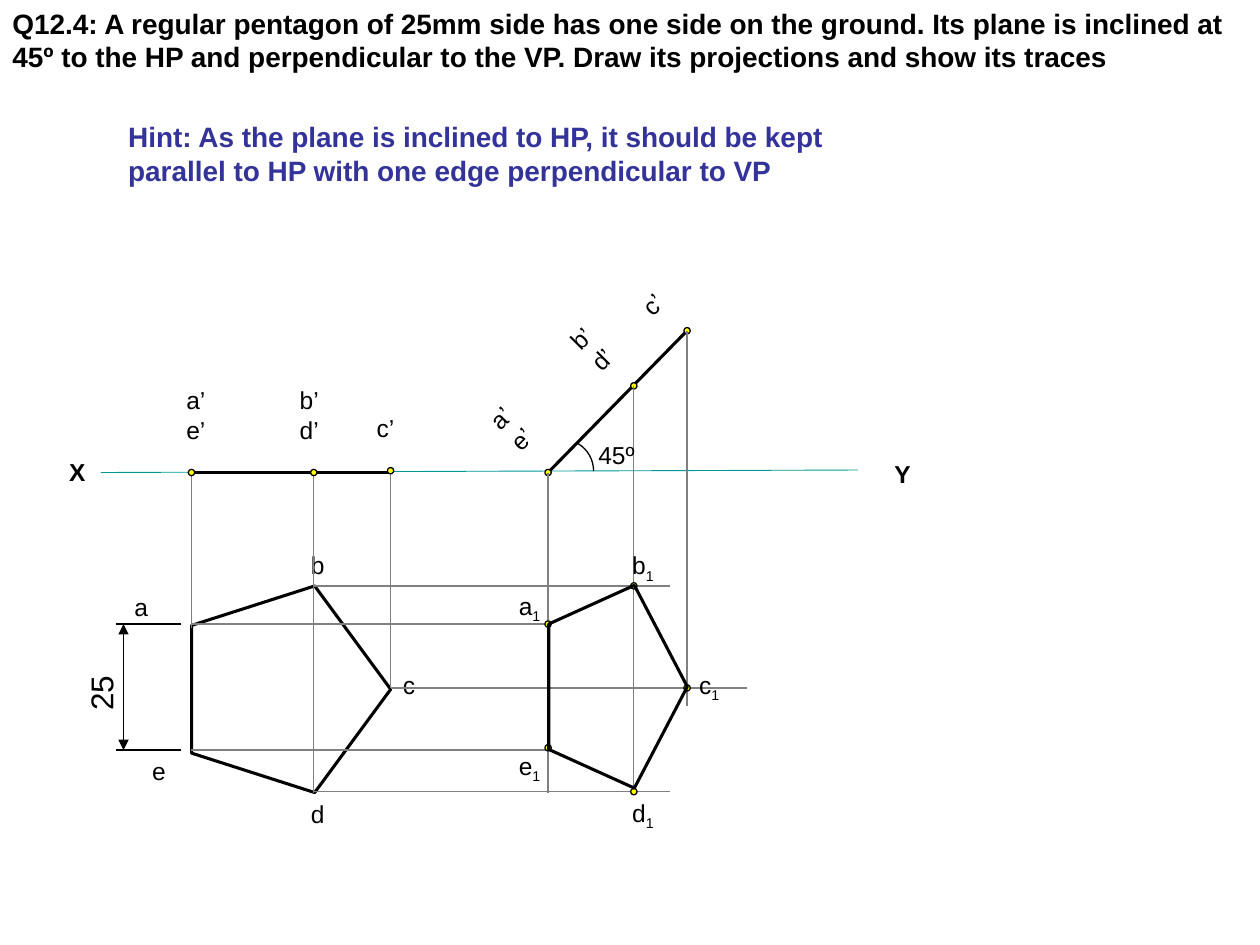
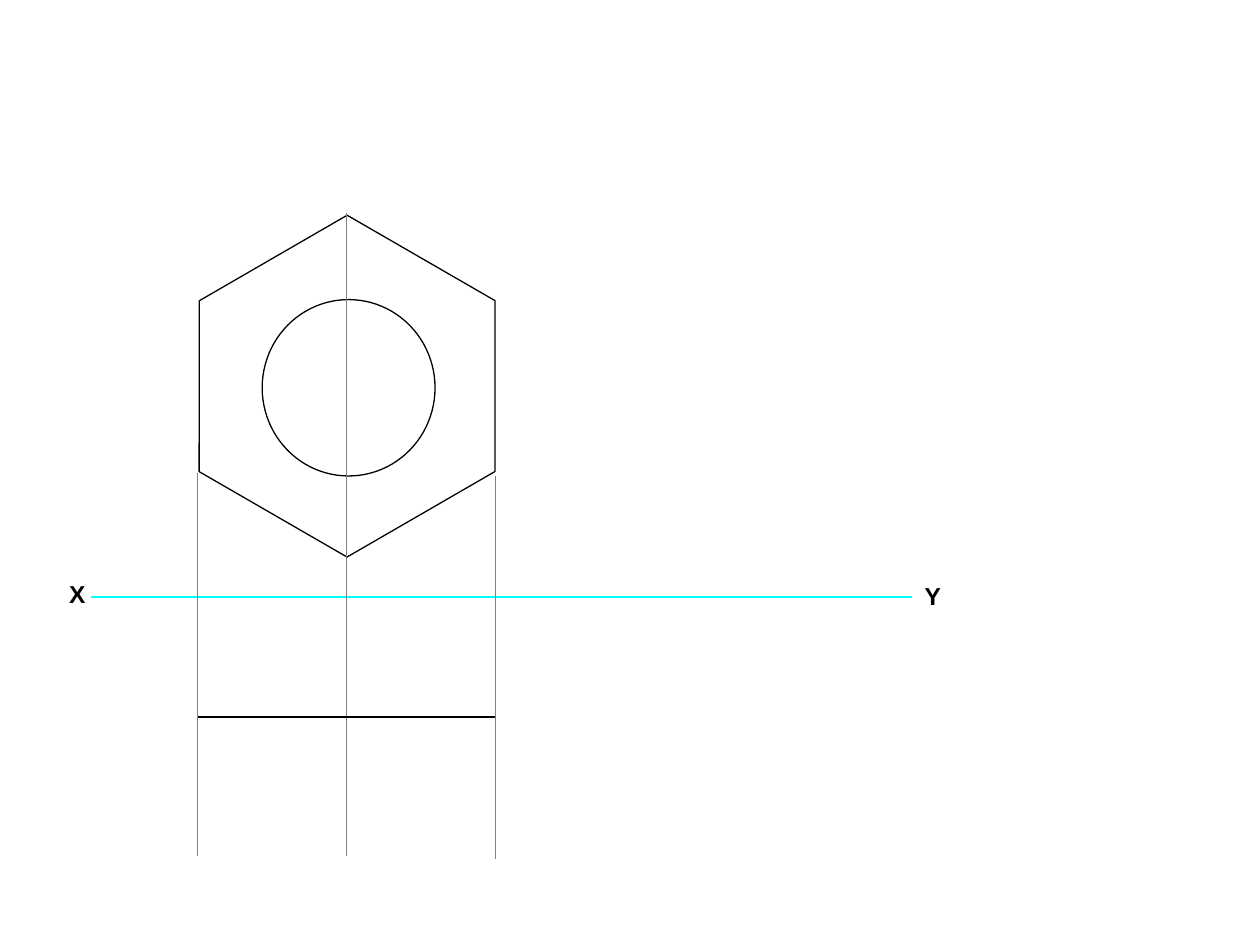
from dataclasses import dataclass

import lxml.etree
import pptx
import pptx.dml.color
import pptx.enum.shapes
import pptx.oxml.ns
import pptx.util

Pt = pptx.util.Pt
SHAPES = pptx.enum.shapes.MSO_SHAPE
COLORS = {
    "ink": "000000",
    "projector": "808080",
    "axis": "009999",
    "bright_axis": "00FFFF",
    "hint": "333399",
    "dot": "FFFF00",
}
FONT = "Arial"
THIN, AXIS_THICK, THICK = 0.75, 1, 1.75
DOT_SIZE = 3.6
LABEL_WIDTH, LABEL_HEIGHT, PAIR_HEIGHT = 30, 24.5, 41


@dataclass
class Label:
    text: str
    left: float
    top: float
    width: float = LABEL_WIDTH
    height: float = LABEL_HEIGHT
    size: float = 14
    bold: bool = False
    color: str = "ink"
    rotation: float = 0
    subscript: str = ""


@dataclass
class Line:
    x1: float
    y1: float
    x2: float
    y2: float
    color: str = "projector"
    weight: float = THIN
    arrows: bool = False


@dataclass
class Outline:
    kind: int
    left: float
    top: float
    width: float
    height: float
    rotation: float = 0
    weight: float = THIN
    fill: str = ""
    adjustments: tuple[float, ...] = ()


def rgb(name: str) -> pptx.dml.color.RGBColor:
    return pptx.dml.color.RGBColor.from_string(COLORS[name])


def draw_label(page, label: Label) -> None:
    box = page.shapes.add_textbox(
        Pt(label.left), Pt(label.top), Pt(label.width), Pt(label.height))
    box.rotation = label.rotation
    box.text_frame.word_wrap = True
    para = box.text_frame.paragraphs[0]
    para.font.name = FONT
    para.font.size = Pt(label.size)
    para.font.bold = label.bold
    para.font.color.rgb = rgb(label.color)
    para.add_run().text = label.text
    if label.subscript:
        span = para.add_run()
        span.text = label.subscript
        span._r.get_or_add_rPr().set("baseline", "-25000")


def draw_line(page, line: Line) -> None:
    connector = page.shapes.add_connector(
        pptx.enum.shapes.MSO_CONNECTOR.STRAIGHT,
        Pt(line.x1), Pt(line.y1), Pt(line.x2), Pt(line.y2))
    connector.line.color.rgb = rgb(line.color)
    connector.line.width = Pt(line.weight)
    if line.arrows:
        stroke = connector.line._get_or_add_ln()
        for end in ("a:headEnd", "a:tailEnd"):
            lxml.etree.SubElement(stroke, pptx.oxml.ns.qn(end), type="triangle")
    lxml.etree.SubElement(
        connector._element.spPr, pptx.oxml.ns.qn("a:effectLst"))


def draw_outline(page, outline: Outline) -> None:
    shape = page.shapes.add_shape(
        outline.kind, Pt(outline.left), Pt(outline.top),
        Pt(outline.width), Pt(outline.height))
    shape.shadow.inherit = False
    shape.rotation = outline.rotation
    for index, value in enumerate(outline.adjustments):
        shape.adjustments[index] = value
    if outline.fill:
        shape.fill.solid()
        shape.fill.fore_color.rgb = rgb(outline.fill)
    else:
        shape.fill.background()
    shape.line.color.rgb = rgb("ink")
    shape.line.width = Pt(outline.weight)


def draw_dots(page, centers: list[tuple[float, float]]) -> None:
    for x, y in centers:
        draw_outline(page, Outline(
            SHAPES.OVAL, x - DOT_SIZE / 2, y - DOT_SIZE / 2,
            DOT_SIZE, DOT_SIZE, fill="dot"))


def draw_axis(page, line: Line, x_top: float, y_left: float) -> None:
    """Draw the XY reference line and the letters at its ends."""
    draw_line(page, line)
    draw_label(page, Label("X", 32.4, x_top, width=33, bold=True))
    draw_label(page, Label("Y", y_left, x_top + 1, width=21.6, bold=True))


def build_pentagon_page(page) -> None:
    ground = 270
    # Columns of the flat and the tilted view, rows of the top view
    a_x, b_x, c_x = 109.4, 179.3, 223.2
    a1_x, b1_x, c1_x = 313.2, 362.2, 392.6
    b_y, a_y, c_y, e_y, d_y = 334.8, 356.6, 393.1, 428.6, 452.4
    tilted_b_y, tilted_c_y = 220.5, 189

    draw_axis(page, Line(57.6, ground, 490.3, 268.6, "axis", 0.5), 257.8, 504)

    # Question and hint
    draw_label(page, Label(
        "Q12.4: A regular pentagon of 25mm side has one side on the ground. "
        "Its plane is inclined at 45º to the HP and perpendicular to the VP. "
        "Draw its projections and show its traces",
        0, 0, 720, 46, 16, True))
    draw_label(page, Label(
        "Hint: As the plane is inclined to HP, it should be kept "
        "parallel to HP with one edge perpendicular to VP",
        66.2, 64.8, 424, 46, 16, True, "hint"))

    # Flat pentagon with its corner letters
    draw_outline(page, Outline(
        SHAPES.REGULAR_PENTAGON, 107.3, 337, 118.1, 113.8, 90, THICK))
    for letter, left, top in (
            ("a", 69.8, 334.8), ("b", 170.6, 311), ("c", 223.2, 379.4),
            ("d", 170.6, 452.9), ("e", 79.9, 428.4)):
        draw_label(page, Label(letter, left, top))

    # Side dimension
    for y in (a_y, e_y):
        draw_line(page, Line(103.7, y, 66.2, y, "ink"))
    draw_line(page, Line(70.6, a_y, 70.6, e_y, "ink", arrows=True))
    draw_label(page, Label("25", 36.7, 378, 41.8, 28.8, 18, rotation=270))

    # Flat front view
    for x, bottom in ((a_x, 358.6), (b_x, 452.9), (c_x, c_y)):
        draw_line(page, Line(x, ground, x, bottom))
    draw_line(page, Line(a_x, ground, c_x, ground, "ink", THICK))
    draw_label(page, Label("a’e’", 99.4, 216.7, height=PAIR_HEIGHT))
    draw_label(page, Label("b’d’", 164.2, 216.7, height=PAIR_HEIGHT))
    draw_label(page, Label("c’", 208.1, 232.6))
    draw_dots(page, [(a_x, ground), (b_x, ground), (c_x, 269)])

    # Tilted front view
    draw_line(page, Line(a1_x, ground, c1_x, tilted_c_y, "ink", THICK))
    for text, left, top, height in (
            ("a’e’", 278.6, 222.5, PAIR_HEIGHT),
            ("b’d’", 324.7, 177.1, PAIR_HEIGHT),
            ("c’", 360, 159.8, LABEL_HEIGHT)):
        draw_label(page, Label(text, left, top, height=height, rotation=315))
    draw_dots(page, [(a1_x, ground), (b1_x, tilted_b_y), (c1_x, tilted_c_y)])

    # Projectors down from the tilted view and across from the flat one
    for x, top, bottom in (
            (a1_x, ground, 452.9), (b1_x, tilted_b_y, 452.9),
            (c1_x, tilted_c_y, 403.2)):
        draw_line(page, Line(x, top, x, bottom))
    reach = a1_x - a_x
    for x, y in ((a_x, a_y), (a_x, e_y), (b_x, b_y), (b_x, d_y), (c_x, c_y)):
        draw_line(page, Line(x, y, x + reach, y))

    # Foreshortened pentagon
    draw_dots(page, [(a1_x, a_y), (b1_x, b_y), (c1_x, c_y),
                     (b1_x, d_y), (a1_x, 427.3)])
    draw_outline(page, Outline(
        SHAPES.REGULAR_PENTAGON, 295.2, 352.8, 115.9, 79.2, 90, THICK))
    for letter, left, top in (
            ("a", 289.4, 334.1), ("b", 354.2, 311), ("c", 392.4, 379.4),
            ("d", 354.2, 452.2), ("e", 289.4, 425.5)):
        draw_label(page, Label(letter, left, top, subscript="1"))

    # Angle of 45 degrees; arc angles are in units of 100000/60000 degrees
    draw_outline(page, Outline(
        SHAPES.ARC, 304.6, 251.3, 34.6, 36, adjustments=(296 * 0.6, 0)))
    draw_label(page, Label("45º", 334.8, 247.7, width=38.9))


def build_hexagon_page(page) -> None:
    left, middle, right = 113, 198, 283
    draw_axis(page, Line(51.8, 341.3, 521.3, 341.3, "bright_axis", AXIS_THICK),
              327.6, 521.3)

    # Hexagonal plate with a round hole
    draw_outline(page, Outline(
        SHAPES.HEXAGON, 100.8, 136.1, 195.1, 169.2, 30, adjustments=(0.288,)))
    draw_outline(page, Outline(SHAPES.OVAL, 149.8, 171.2, 98.8, 100.8))

    # Projectors and the edge view
    for x, top, bottom in (
            (left, 270, 489), (right, 272, 491), (middle, 122, 489)):
        draw_line(page, Line(x, top, x, bottom))
    draw_line(page, Line(left, 409.8, right, 409.8, "ink"))


def main() -> None:
    deck = pptx.Presentation()
    deck.slide_width, deck.slide_height = Pt(720), Pt(540)
    for build in (build_pentagon_page, build_hexagon_page):
        build(deck.slides.add_slide(deck.slide_layouts[6]))
    deck.save("out.pptx")


if __name__ == "__main__":
    main()
